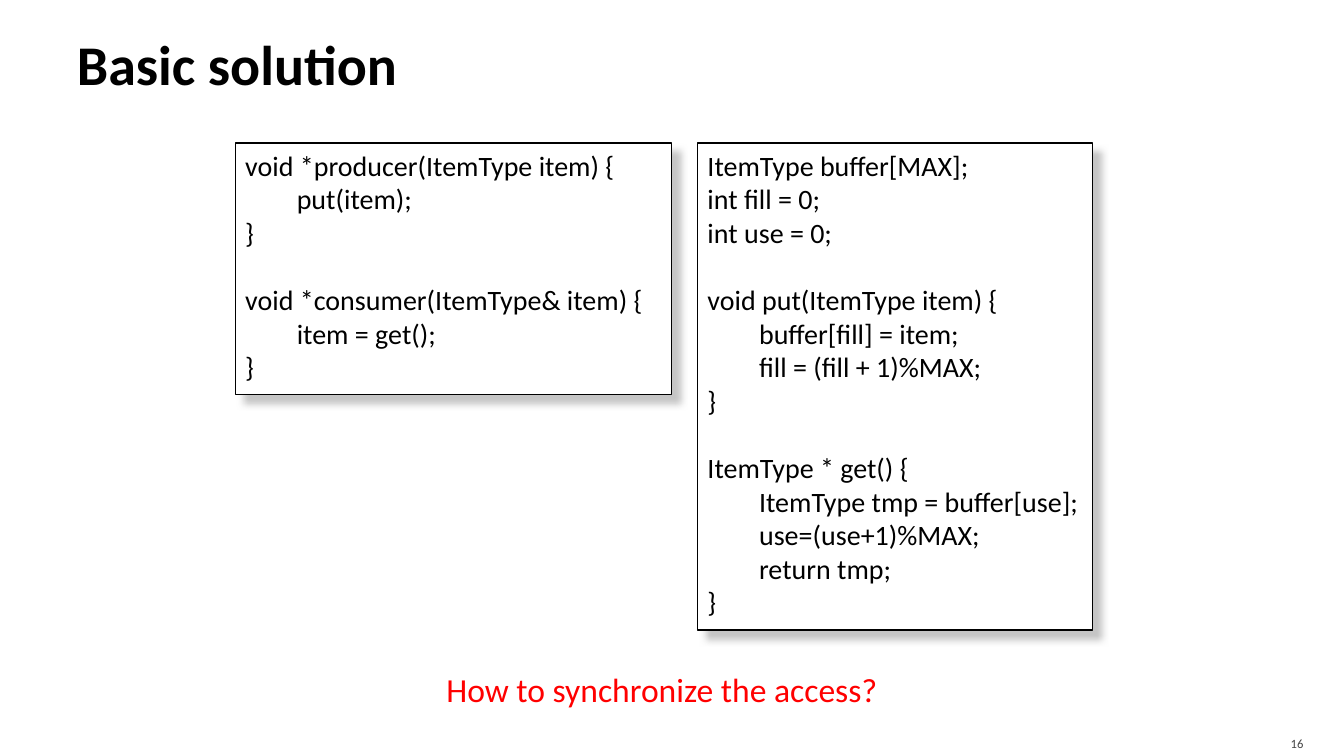
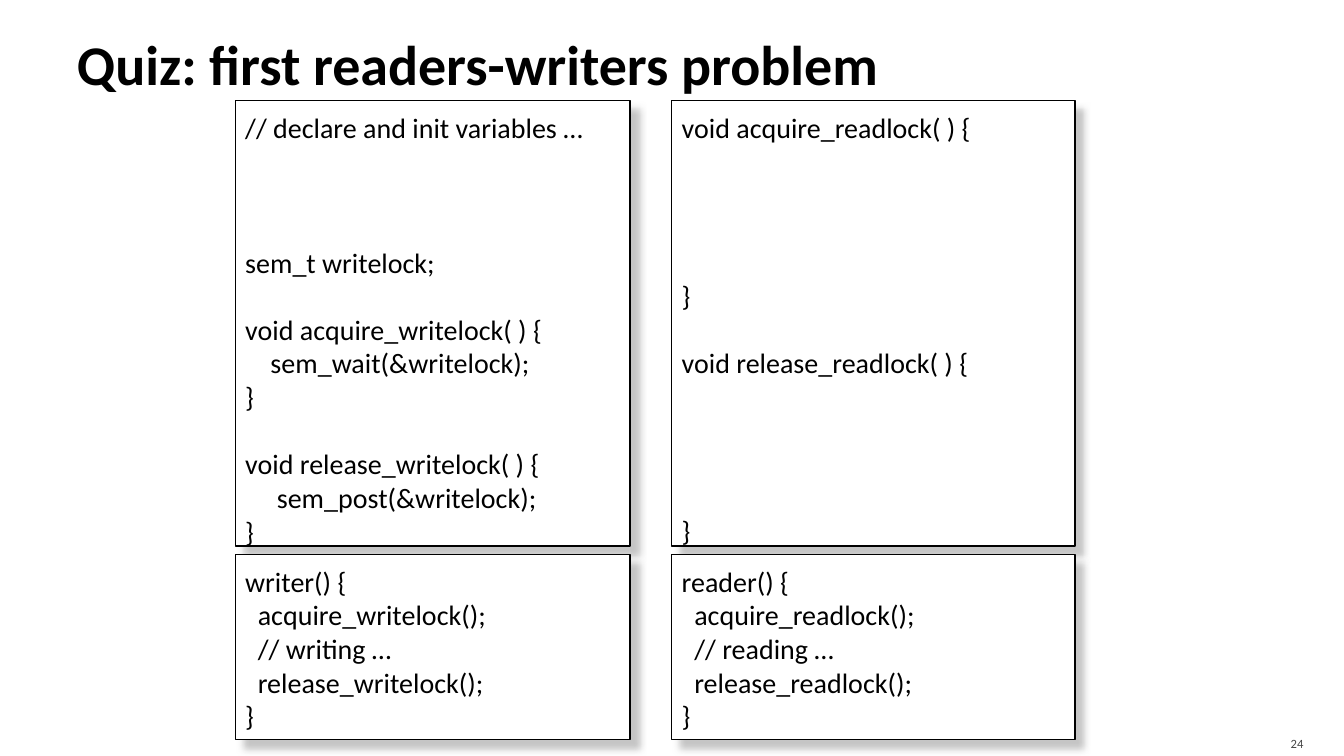
from dataclasses import dataclass

from lxml import etree
from pptx import Presentation
from pptx.dml.color import RGBColor
from pptx.enum import shapes, text
from pptx.oxml import ns
from pptx.util import Cm, Pt


@dataclass(frozen=True)
class Theme:
    font: str = "Calibri"
    ink: str = "000000"
    paper: str = "FFFFFF"
    question: str = "FF0000"
    number: str = "454545"
    shadow: str = "B2B2B2"
    title_size: int = 40
    question_size: int = 24
    code_size: int = 20
    code_line: int = 24
    number_size: int = 9


THEME = Theme()
INSET = (0.25, 0.13, 0.25, 0.13)
WIDE_INSET = (0.25, 0.25, 0.25, 0.25)

PRODUCER_CONSUMER = """\
void *producer(ItemType item) {
\tput(item);
}

void *consumer(ItemType& item) {
\titem = get();
}"""

BUFFER = """\
ItemType buffer[MAX];
int fill = 0;
int use = 0;

void put(ItemType item) {
\tbuffer[fill] = item;
\tfill = (fill + 1)%MAX;
}

ItemType * get() {
\tItemType tmp = buffer[use];
\tuse=(use+1)%MAX;
\treturn tmp;
}"""

WRITE_LOCK = """\
// declare and init variables …



sem_t writelock;

void acquire_writelock( ) {
    sem_wait(&writelock);
}

void release_writelock( ) {
     sem_post(&writelock);
}"""

READ_LOCK = """\
void acquire_readlock( ) {




}

void release_readlock( ) {




}"""

WRITER = """\
writer() {
  acquire_writelock();
  // writing …
  release_writelock();
}"""

READER = """\
reader() {
  acquire_readlock();
  // reading …
  release_readlock();
}"""

# Columns are (left, width) and rows are (top, height), in centimetres.
SLIDES = [
    {
        "title": "Basic solution",
        "number": "16",
        "inset": INSET,
        "columns": [(5.93, 11), (17.58, 9.95)],
        "rows": [(3.6, 6.35), (3.6, 12.28)],
        "code": [(PRODUCER_CONSUMER, 0, 0), (BUFFER, 1, 1)],
        "question": "How to synchronize the access?",
    },
    {
        "title": "Quiz: first readers-writers problem",
        "number": "24",
        "inset": WIDE_INSET,
        "columns": [(5.93, 9.95), (16.93, 10.16)],
        "rows": [(2.54, 11.22), (13.97, 4.66)],
        "code": [(WRITE_LOCK, 0, 0), (READ_LOCK, 1, 0),
                 (WRITER, 0, 1), (READER, 1, 1)],
    },
]


def set_frame(frame, inset, anchor):
    frame.word_wrap = True
    frame.vertical_anchor = anchor
    (frame.margin_left, frame.margin_top,
     frame.margin_right, frame.margin_bottom) = map(Cm, inset)


def add_run(paragraph, words, size, color, bold=False):
    run = paragraph.add_run()
    run.text = words
    run.font.name = THEME.font
    run.font.size = Pt(size)
    run.font.bold = bold
    run.font.color.rgb = RGBColor.from_string(color)


def add_label(slide, words, area, size, color, inset=INSET, bold=False,
              align=text.PP_ALIGN.LEFT, anchor=text.MSO_ANCHOR.MIDDLE):
    frame = slide.shapes.add_textbox(*map(Cm, area)).text_frame
    set_frame(frame, inset, anchor)
    paragraph = frame.paragraphs[0]
    paragraph.alignment = align
    add_run(paragraph, words, size, color, bold)


def add_child(parent, tag, **attributes):
    return etree.SubElement(parent, ns.qn(tag), attributes)


def cast_shadow(panel):
    panel.shadow.inherit = False
    effects = panel.element.spPr.find(ns.qn("a:effectLst"))
    outer = add_child(effects, "a:outerShdw", blurRad=str(Pt(5)),
                      dist=str(Pt(8.5)), dir="2700000", rotWithShape="0")
    color = add_child(outer, "a:srgbClr", val=THEME.shadow)
    add_child(color, "a:alpha", val="75000")


def add_code(slide, code, area, inset):
    """Draw a code panel; empty lines become space before the next line."""
    panel = slide.shapes.add_shape(shapes.MSO_SHAPE.RECTANGLE, *map(Cm, area))
    panel.fill.solid()
    panel.fill.fore_color.rgb = RGBColor.from_string(THEME.paper)
    panel.line.color.rgb = RGBColor.from_string(THEME.ink)
    panel.line.width = Pt(1)
    cast_shadow(panel)

    frame = panel.text_frame
    set_frame(frame, inset, text.MSO_ANCHOR.TOP)
    paragraph = frame.paragraphs[0]
    empty = 0
    for index, line in enumerate(code.split("\n")):
        if not line:
            empty += 1
            continue
        if index:
            paragraph = frame.add_paragraph()
        paragraph.alignment = text.PP_ALIGN.LEFT
        if empty:
            paragraph.space_before = Pt(empty * THEME.code_line)
            empty = 0
        tabs = add_child(paragraph._p.get_or_add_pPr(), "a:tabLst")
        add_child(tabs, "a:tab", pos=str(Cm(1.3)), algn="l")
        add_run(paragraph, line, THEME.code_size, THEME.ink)


def add_slide(deck, content):
    slide = deck.slides.add_slide(deck.slide_layouts[6])
    add_label(slide, content["title"], (1.69, 0.42, 30.48, 2.33),
              THEME.title_size, THEME.ink, bold=True)
    add_label(slide, content["number"], (30.38, 18.29, 2.72, 0.76),
              THEME.number_size, THEME.number, inset=(0.25, 0.13, 0.25, 0),
              align=text.PP_ALIGN.RIGHT)
    for code, column, row in content["code"]:
        left, width = content["columns"][column]
        top, height = content["rows"][row]
        add_code(slide, code, (left, top, width, height), content["inset"])
    if "question" in content:
        add_label(slide, content["question"], (11, 16.72, 11.91, 1.28),
                  THEME.question_size, THEME.question,
                  anchor=text.MSO_ANCHOR.TOP)


def main():
    deck = Presentation()
    deck.slide_width, deck.slide_height = Cm(33.87), Cm(19.05)
    for content in SLIDES:
        add_slide(deck, content)
    deck.save("out.pptx")


if __name__ == "__main__":
    main()
